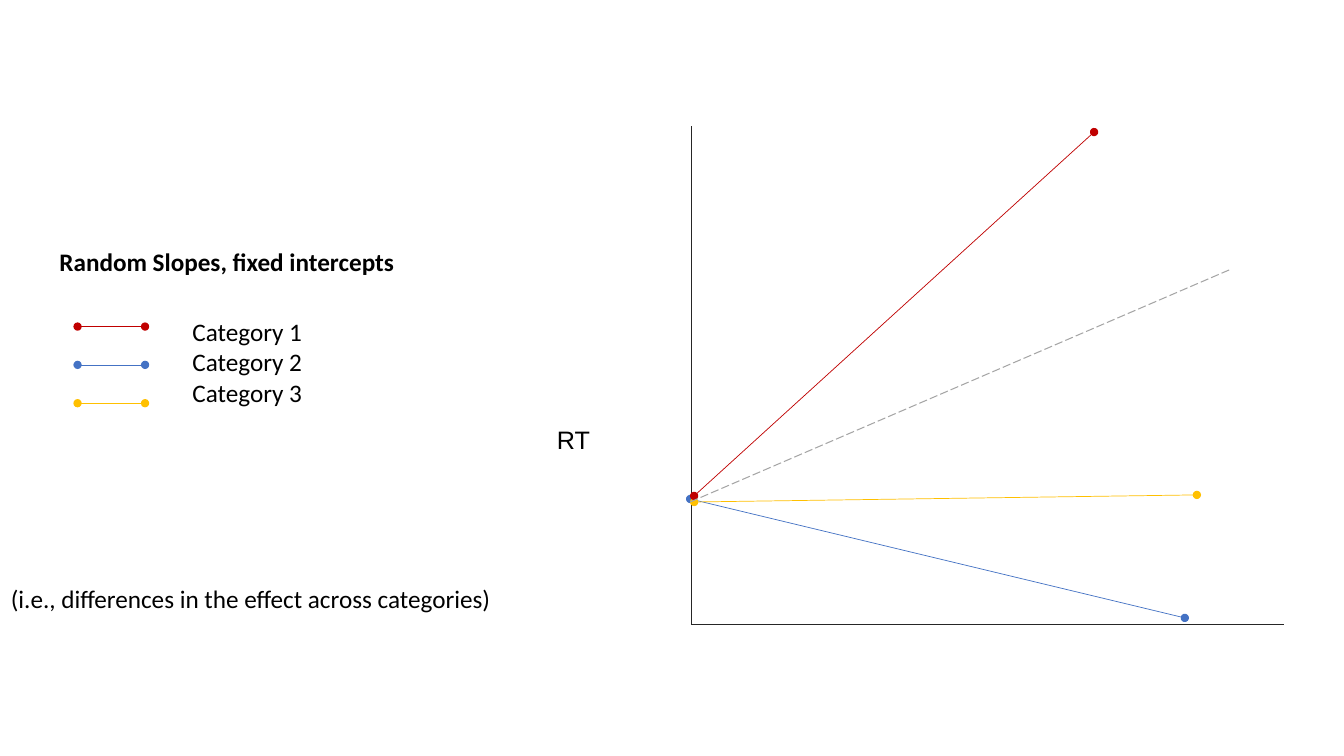
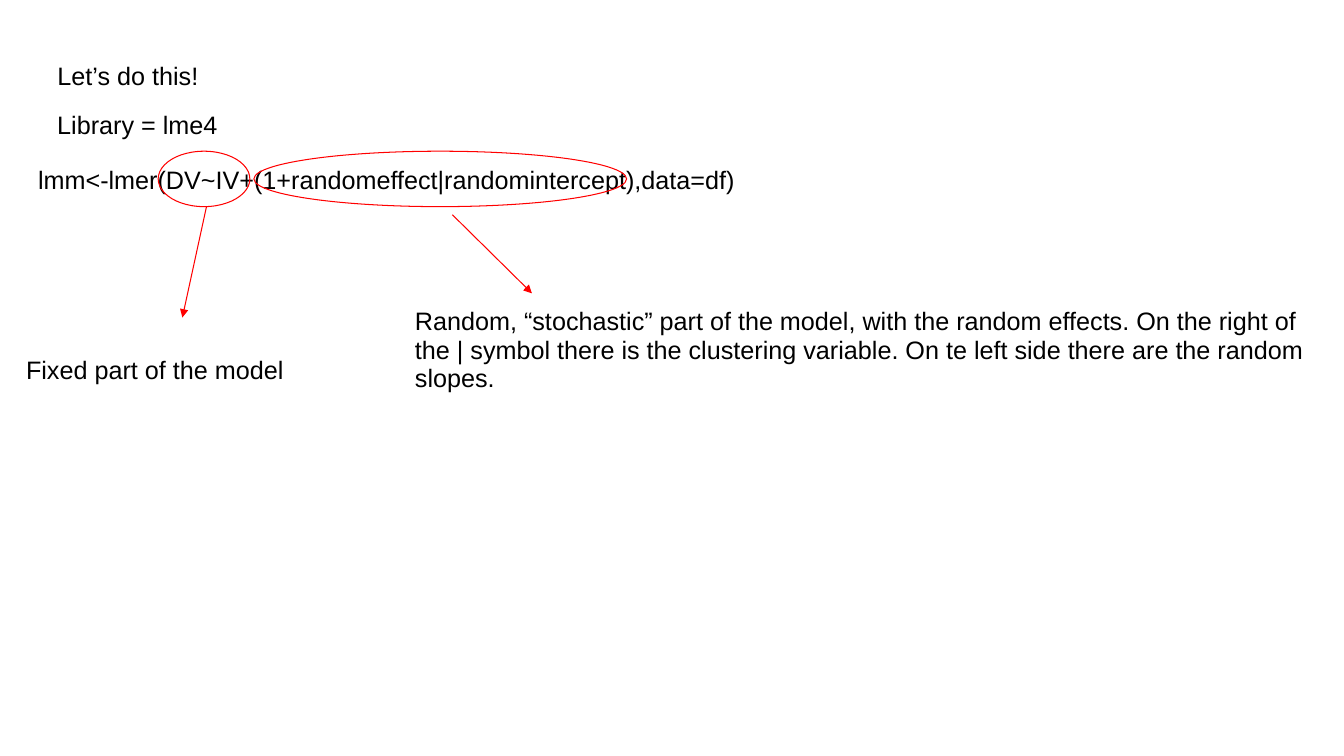
from dataclasses import dataclass
from typing import Any

import lxml.etree
import pptx
import pptx.dml.color
import pptx.enum.dml
import pptx.enum.shapes
import pptx.enum.text
import pptx.oxml.ns
import pptx.util

Inches = pptx.util.Inches
COLORS = {
    "text": "000000", "axis": "262626", "mean": "A5A5A5", "mark": "FF0000",
    "red": "C00000", "blue": "4472C4", "gold": "FFC000",
}


@dataclass(frozen=True)
class Box:
    left: float
    top: float
    width: float
    height: float

    def lengths(self) -> tuple[int, ...]:
        return tuple(map(Inches, (self.left, self.top, self.width, self.height)))


@dataclass(frozen=True)
class Line:
    start: tuple[float, float]
    end: tuple[float, float]
    color: str
    width: float = 0.5
    head: str = ""
    tail: str = ""
    dashed: bool = False


@dataclass(frozen=True)
class Label:
    text: str
    box: Box


def rgb(name: str) -> pptx.dml.color.RGBColor:
    return pptx.dml.color.RGBColor.from_string(COLORS[name])


def add_xml(parent: Any, tag: str, **attrs: str) -> None:
    lxml.etree.SubElement(parent, pptx.oxml.ns.qn(tag), **attrs)


def write(slide: Any, text: str, box: Box, *, holder: Any = None,
          face: str = "Arial", bold: bool = False, inset: float = 0.07,
          spacing: float = 0.93) -> None:
    """Write text in the given placeholder, or in a new text box."""
    shape = holder or slide.shapes.add_textbox(*box.lengths())
    shape.left, shape.top, shape.width, shape.height = box.lengths()
    frame = shape.text_frame
    frame.text = text
    frame.word_wrap = True
    frame.auto_size = pptx.enum.text.MSO_AUTO_SIZE.NONE
    frame.vertical_anchor = pptx.enum.text.MSO_ANCHOR.TOP
    frame.margin_left = frame.margin_right = Inches(0.1)
    frame.margin_top, frame.margin_bottom = Inches(inset), Inches(0.05)
    for para in frame.paragraphs:
        para.alignment = pptx.enum.text.PP_ALIGN.LEFT
        para.line_spacing = spacing
        para.space_before = para.space_after = pptx.util.Pt(0)
        if holder:
            props = para._p.get_or_add_pPr()
            props.set("marL", "0")
            props.set("indent", "0")
            add_xml(props, "a:buNone")
        for run in para.runs:
            run.font.name = face
            run.font.size = pptx.util.Pt(18)
            run.font.bold = bold
            run.font.color.rgb = rgb("text")


def draw(slide: Any, line: Line) -> None:
    shape = slide.shapes.add_connector(
        pptx.enum.shapes.MSO_CONNECTOR.STRAIGHT,
        *map(Inches, line.start + line.end))
    shape.line.color.rgb = rgb(line.color)
    shape.line.width = pptx.util.Pt(line.width)
    if line.dashed:
        shape.line.dash_style = pptx.enum.dml.MSO_LINE.LONG_DASH
    stroke = shape.line._get_or_add_ln()
    for tag, kind in (("a:headEnd", line.head), ("a:tailEnd", line.tail)):
        if kind:
            add_xml(stroke, tag, type=kind)
    add_xml(shape._element.spPr, "a:effectLst")


def ring(slide: Any, box: Box) -> None:
    shape = slide.shapes.add_shape(
        pptx.enum.shapes.MSO_SHAPE.OVAL, *box.lengths())
    shape.shadow.inherit = False
    shape.fill.background()
    shape.line.color.rgb = rgb("mark")
    shape.line.width = pptx.util.Pt(0.75)


def slopes(deck: Any) -> None:
    slide = deck.slides.add_slide(deck.slide_layouts[1])
    title, body = slide.placeholders
    plain = {"face": "Calibri", "inset": 0.05, "spacing": 1.0}
    write(slide, "Random Slopes, fixed intercepts", Box(0.49, 2.39, 5.63, 0.7),
          holder=title, bold=True, **plain)
    write(slide, "Category 1\nCategory 2\nCategory 3", Box(1.81, 3.09, 2.68, 1),
          holder=body, **plain)
    write(slide, "(i.e., differences in the effect across categories)",
          Box(0.01, 5.74, 5.7, 0.4), **plain)
    write(slide, "RT", Box(5.43, 4.17, 1.18, 0.38))

    dots = {"head": "oval", "tail": "oval"}
    corner = (6.86, 6.19)
    lines = [
        Line((6.85, 4.95), (11.76, 6.13), "blue", **dots),
        Line((6.86, 1.25), corner, "axis"),
        Line((12.74, 6.19), corner, "axis"),
        Line((6.89, 4.98), (11.88, 4.91), "gold", **dots),
        Line((6.89, 4.92), (10.86, 1.31), "red", **dots),
        Line((6.85, 4.98), (12.22, 2.67), "mean", 0.75, dashed=True),
    ]
    for row, color in enumerate(("red", "blue", "gold")):
        level = 3.24 + 0.38 * row
        lines.append(Line((0.77, level), (1.44, level), color, **dots))
    for line in lines:
        draw(slide, line)


def model(deck: Any) -> None:
    slide = deck.slides.add_slide(deck.slide_layouts[5])
    write(slide, "Let’s do this!", Box(0.47, 0.55, 8.5, 0.38),
          holder=slide.shapes.title)
    labels = (
        Label("Library = lme4", Box(0.47, 1.04, 8.5, 0.38)),
        Label("lmm<-lmer(DV~IV+(1+randomeffect|randomintercept),data=df)",
              Box(0.28, 1.59, 8.5, 0.38)),
        Label("Fixed part of the model", Box(0.16, 3.47, 2.99, 0.94)),
        Label("Random, “stochastic” part of the model, with the random effects. "
              "On the right of the | symbol there is the clustering variable. "
              "On te left side there are the random slopes.",
              Box(4.02, 2.99, 9.21, 1.22)),
    )
    for label in labels:
        write(slide, label.text, label.box)
    for left, width in ((1.57, 0.91), (2.52, 3.7)):
        ring(slide, Box(left, 1.5, width, 0.55))
    for start, end in (((2.05, 2.05), (1.81, 3.15)),
                       ((4.49, 2.13), (5.28, 2.91))):
        draw(slide, Line(start, end, "mark", 0.75, tail="triangle"))


def main() -> None:
    deck = pptx.Presentation()
    deck.slide_width, deck.slide_height = Inches(13.34), Inches(7.5)
    slopes(deck)
    model(deck)
    deck.save("out.pptx")


if __name__ == "__main__":
    main()
